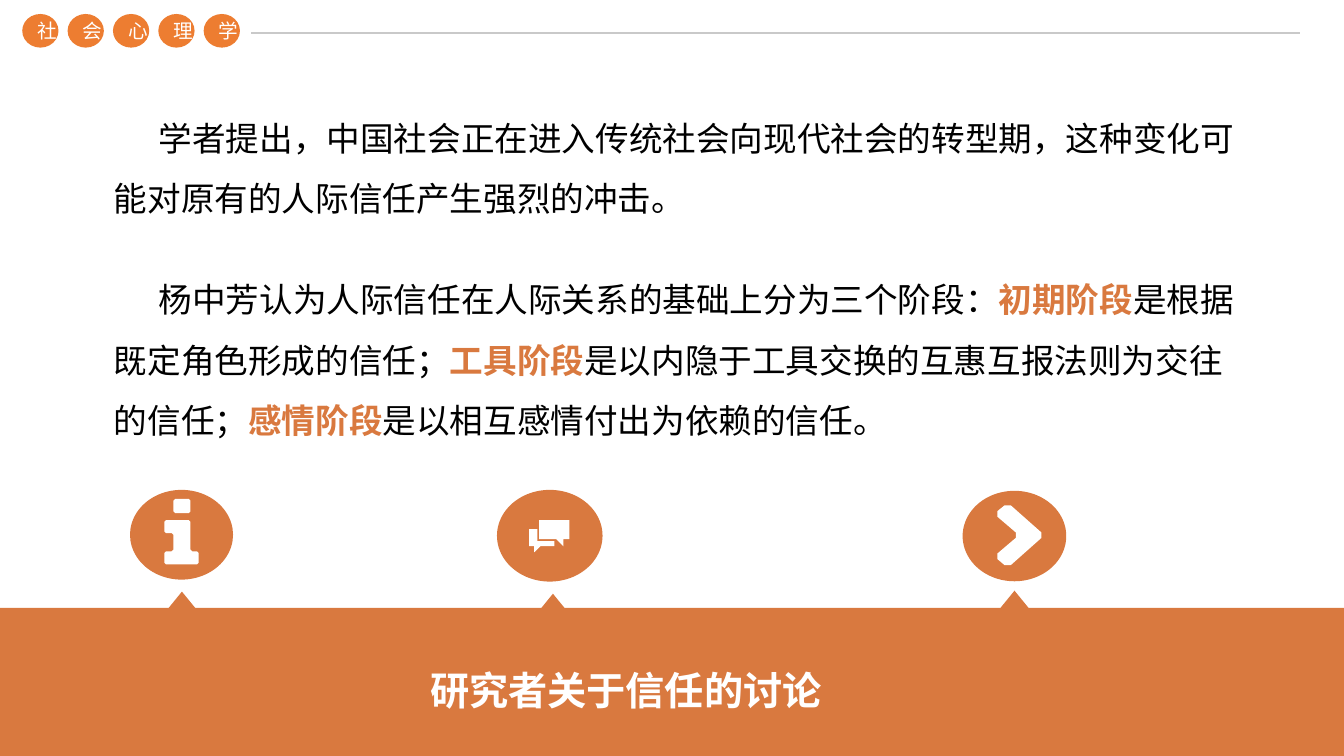
from lxml import etree
from pptx import Presentation
from pptx.dml.color import RGBColor
from pptx.enum import shapes, text
from pptx.oxml.ns import qn
from pptx.util import Pt

FONT = "Noto Sans CJK SC"
ORANGE = RGBColor(0xED, 0x7D, 0x31)
RUST = RGBColor(0xD9, 0x79, 0x3F)
GREY = RGBColor(0xC9, 0xC9, 0xC9)
WHITE = RGBColor(0xFF, 0xFF, 0xFF)
BLACK = RGBColor(0, 0, 0)

COURSE = "社会心理学"
TITLE = "研究者关于信任的讨论"
PARAGRAPHS = [
    [("学者提出，中国社会正在进入传统社会向现代社会的转型期，这种变化可能对原有的人际信任产生强烈的冲击。", False)],
    [
        ("杨中芳认为人际信任在人际关系的基础上分为三个阶段：", False),
        ("初期阶段", True),
        ("是根据既定角色形成的信任；", False),
        ("工具阶段", True),
        ("是以内隐于工具交换的互惠互报法则为交往的信任；", False),
        ("感情阶段", True),
        ("是以相互感情付出为依赖的信任。", False),
    ],
]

INFO = [
    [(31, 6.5), (43.2, 6.5), (43.2, 16.6), (31, 16.6)],
    [(24.5, 21.6), (43.2, 21.6), (43.2, 43.9), (49, 43.9), (49, 53.3),
     (24.5, 53.3), (24.5, 43.9), (31, 43.9), (31, 31), (24.5, 31)],
]
CHAT = [
    [(23, 28.1), (28.8, 28.1), (28.8, 36.7), (41, 36.7), (41, 40.3),
     (31, 40.3), (26.6, 44.6), (26.6, 40.3), (23, 40.3)],
    [(30.2, 21.6), (51.8, 21.6), (51.8, 35.3), (47.5, 35.3),
     (47.5, 40.3), (42.5, 35.3), (30.2, 35.3)],
]
CHEVRON = [
    [(32.3, 8.5), (58.5, 31.7), (32.3, 55), (22.5, 46.8), (40.3, 31.7), (22.5, 16.5)],
]
STAGES = [
    ((92.9, 349.9, 73.6, 64.1), INFO, 1.2, (25.9, 72.7)),
    ((355, 349.9, 75.4, 65.5), CHAT, 0, (28.8, 74.2)),
    ((687.6, 350.6, 74, 64.6), CHEVRON, 3, (25.9, 71.3)),
]


def paint(sp, color):
    sp.shadow.inherit = False
    sp.fill.solid()
    sp.fill.fore_color.rgb = color
    sp.line.fill.background()


def add_filled(s, kind, box, color):
    sp = s.shapes.add_shape(kind, *map(Pt, box))
    paint(sp, color)
    return sp


def add_run(p, words, size, color, bold=False):
    r = p.add_run()
    r.text = words
    r.font.size = Pt(size)
    r.font.name = FONT
    r.font.bold = bold
    r.font.color.rgb = color
    etree.SubElement(r.font._element, qn("a:ea")).set("typeface", FONT)


def bevel(points, cut):
    if not cut:
        return points
    corners = []
    for i, (x, y) in enumerate(points):
        for nx, ny in (points[i - 1], points[(i + 1) % len(points)]):
            t = cut / ((nx - x) ** 2 + (ny - y) ** 2) ** 0.5
            corners.append((x + t * (nx - x), y + t * (ny - y)))
    return corners


def add_header(s, left, top, width):
    pitch, dot_w, dot_h = 32.4, 25.9, 24
    for i, char in enumerate(COURSE):
        box = (left + i * pitch, top, dot_w, dot_h)
        sp = add_filled(s, shapes.MSO_SHAPE.OVAL, box, ORANGE)
        tf = sp.text_frame
        tf.vertical_anchor = text.MSO_ANCHOR.MIDDLE
        p = tf.paragraphs[0]
        p.alignment = text.PP_ALIGN.CENTER
        add_run(p, char, 14, WHITE)
    rule_x, rule_y = left + len(COURSE) * pitch + 1.5, top + 13.7
    line = s.shapes.add_connector(
        shapes.MSO_CONNECTOR.STRAIGHT, Pt(rule_x), Pt(rule_y), Pt(left + width), Pt(rule_y))
    line.line.color.rgb = GREY
    line.line.width = Pt(1)
    etree.SubElement(line._element.spPr, qn("a:effectLst"))


def add_body(s, box):
    tf = s.shapes.add_textbox(*map(Pt, box)).text_frame
    tf.word_wrap = True
    for i, runs in enumerate(PARAGRAPHS):
        p = tf.add_paragraph() if i else tf.paragraphs[0]
        p.line_spacing = 1.5
        if i:
            p.space_before = Pt(28.8)
        pPr = p._p.get_or_add_pPr()
        pPr.set("marL", "0")
        pPr.set("indent", str(Pt(32)))
        for words, key in runs:
            add_run(p, words, 24, RUST if key else BLACK, key)


def add_stage(s, box, glyph, cut, pointer):
    left, top = box[:2]
    add_filled(s, shapes.MSO_SHAPE.ISOSCELES_TRIANGLE,
               (left + pointer[0], top + pointer[1], 22.3, 13.7), RUST)
    add_filled(s, shapes.MSO_SHAPE.OVAL, box, RUST)
    for outline in glyph:
        points = [(Pt(left + x), Pt(top + y)) for x, y in bevel(outline, cut)]
        fb = s.shapes.build_freeform(*points[0])
        fb.add_line_segments(points[1:], close=True)
        paint(fb.convert_to_shape(), WHITE)


def add_banner(s, box):
    add_filled(s, shapes.MSO_SHAPE.RECTANGLE, box, RUST)
    left, top = box[:2]
    tb = s.shapes.add_textbox(Pt(left + 300.2), Pt(top + 28), Pt(297.4), Pt(46.8))
    tf = tb.text_frame
    tf.word_wrap = False
    p = tf.paragraphs[0]
    p.line_spacing = 1.3
    add_run(p, TITLE, 28, WHITE, True)


def main():
    prs = Presentation()
    prs.slide_width, prs.slide_height = Pt(960), Pt(540)
    s = prs.slides.add_slide(prs.slide_layouts[6])
    add_header(s, 15.9, 10, 913)
    add_banner(s, (0, 434.2, 960, 105.8))
    for stage in STAGES:
        add_stage(s, *stage)
    add_body(s, (74.2, 66.2, 819.4, 254.2))
    prs.save("out.pptx")


if __name__ == "__main__":
    main()
